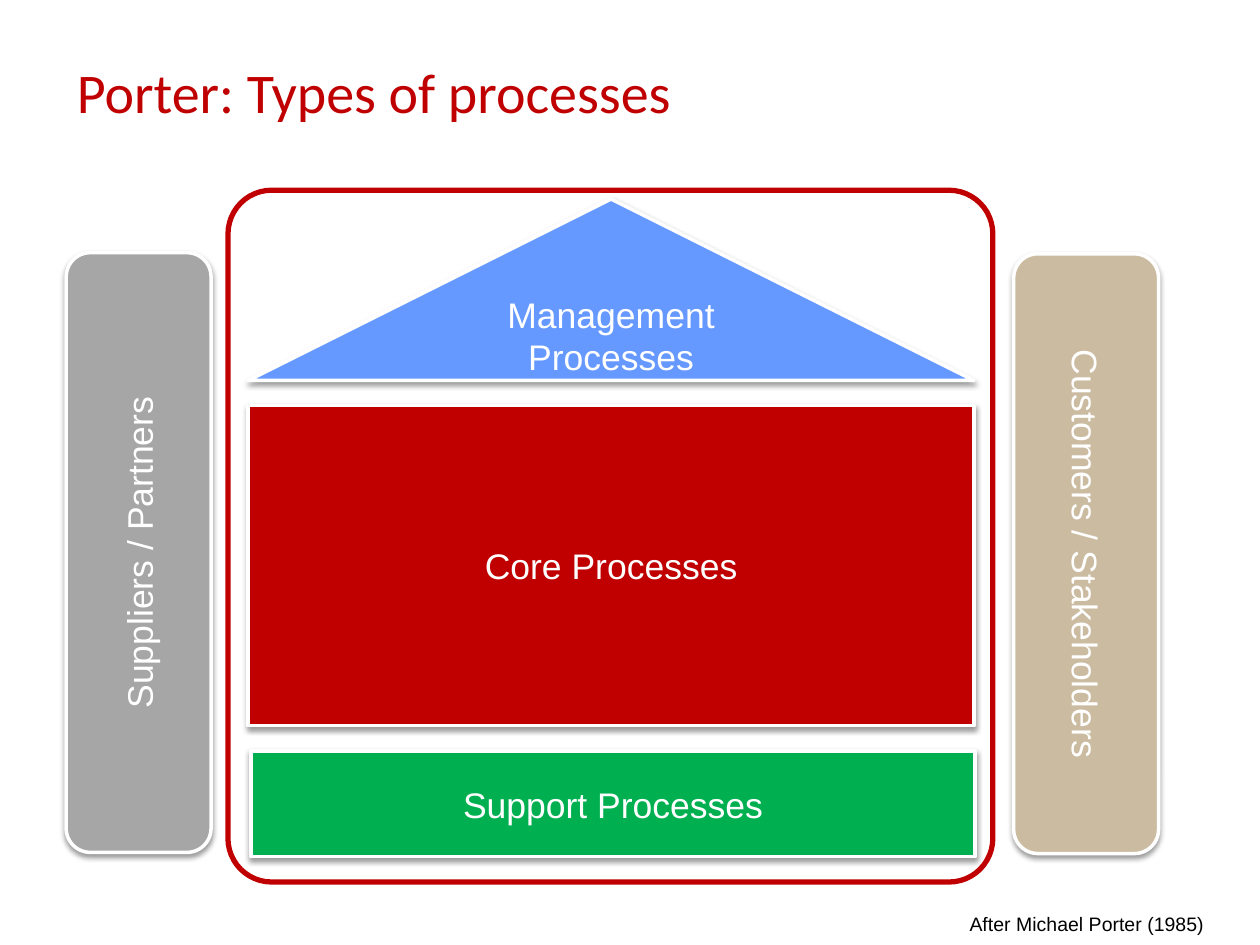
from dataclasses import dataclass

from lxml import etree
from pptx import Presentation
from pptx.dml.color import RGBColor
from pptx.enum.shapes import MSO_SHAPE
from pptx.enum.text import MSO_ANCHOR, PP_ALIGN
from pptx.oxml.ns import qn
from pptx.util import Inches, Pt

RECT = MSO_SHAPE.RECTANGLE
ROUND = MSO_SHAPE.ROUNDED_RECTANGLE
ROOF = MSO_SHAPE.ISOSCELES_TRIANGLE
MIDDLE = MSO_ANCHOR.MIDDLE
LEFT, CENTER = PP_ALIGN.LEFT, PP_ALIGN.CENTER
RED, WHITE, BLACK = "C00000", "FFFFFF", "000000"


@dataclass
class Block:
    label: str
    kind: int
    box: tuple[float, float, float, float]
    fill: str
    turn: int = 0


BLOCKS = [
    Block("Core Processes", RECT, (1.97, 3.22, 5.76, 2.54), RED),
    Block("Management Processes", ROOF, (1.97, 1.58, 5.76, 1.44), "6699FF"),
    Block("Suppliers / Partners", ROUND, (-1.28, 3.81, 4.76, 1.15), "A6A6A6", 270),
    Block("Customers / Stakeholders", ROUND, (6.24, 3.82, 4.76, 1.15), "CBBBA1", 90),
    Block("Support Processes", RECT, (1.99, 5.96, 5.75, 0.84), "00B050"),
]


def color(code: str) -> RGBColor:
    return RGBColor.from_string(code)


def place(box: tuple[float, float, float, float]) -> list[int]:
    return [Inches(side) for side in box]


def write(shape, text: str, *, size: float, tint: str, font: str = "Arial",
          align=CENTER, anchor=MIDDLE, wrap: bool = True) -> None:
    frame = shape.text_frame
    frame.word_wrap = wrap
    frame.vertical_anchor = anchor
    par = frame.paragraphs[0]
    par.alignment = align
    run = par.add_run()
    run.text = text
    run.font.name = font
    run.font.size = Pt(size)
    run.font.color.rgb = color(tint)


def outline(shape, tint: str, width: float) -> None:
    shape.line.color.rgb = color(tint)
    shape.line.width = Pt(width)
    shape.shadow.inherit = False


def shade(shape) -> None:
    effects = shape._element.spPr.find(qn("a:effectLst"))
    outer = etree.SubElement(effects, qn("a:outerShdw"), blurRad=str(Pt(3.1)),
                             dist=str(Pt(1.6)), dir="5400000", rotWithShape="0")
    tint = etree.SubElement(outer, qn("a:srgbClr"), val=BLACK)
    etree.SubElement(tint, qn("a:alpha"), val="38000")


def draw(slide, block: Block) -> None:
    shape = slide.shapes.add_shape(block.kind, *place(block.box))
    shape.rotation = block.turn
    shape.fill.solid()
    shape.fill.fore_color.rgb = color(block.fill)
    outline(shape, WHITE, 2)
    shade(shape)
    write(shape, block.label, size=20.3, tint=WHITE)


def main() -> None:
    deck = Presentation()
    deck.slide_width, deck.slide_height = Inches(10), Inches(7.5)
    slide = deck.slides.add_slide(deck.slide_layouts[5])

    title = slide.shapes.title
    title.left, title.top, title.width, title.height = place((0.51, 0.29, 8.82, 0.87))
    write(title, "Porter: Types of processes", size=32, tint=RED,
          font="Calibri", align=LEFT)

    for block in BLOCKS:
        draw(slide, block)

    house = slide.shapes.add_shape(ROUND, *place((1.81, 1.51, 6.07, 5.49)))
    house.adjustments[0] = 0.063
    house.fill.background()
    outline(house, RED, 3)

    credit = slide.shapes.add_textbox(*place((7.59, 7.19, 2.07, 0.29)))
    write(credit, "After Michael Porter (1985)", size=11.1, tint=BLACK,
          anchor=MSO_ANCHOR.TOP, wrap=False)

    deck.save("out.pptx")


main()
